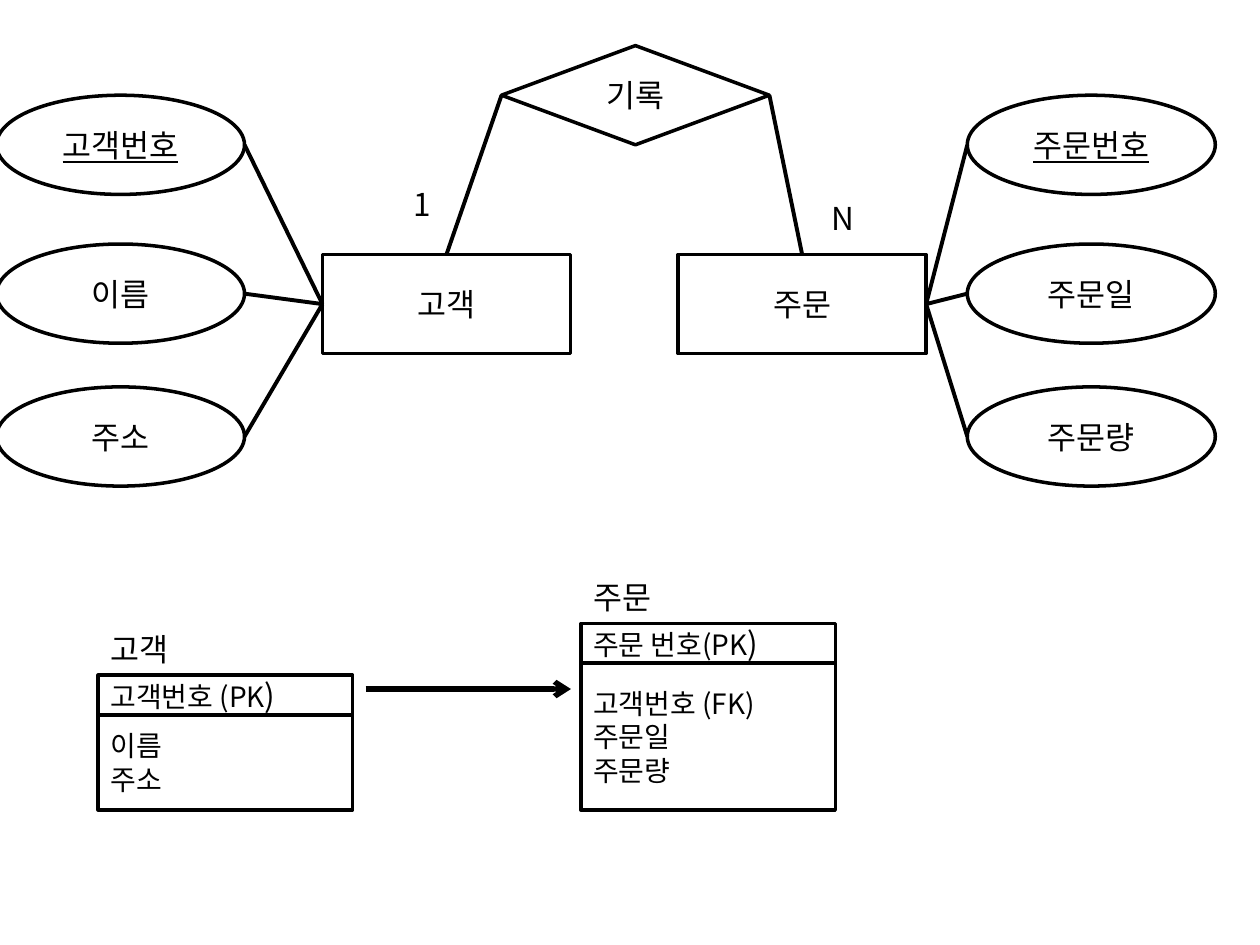
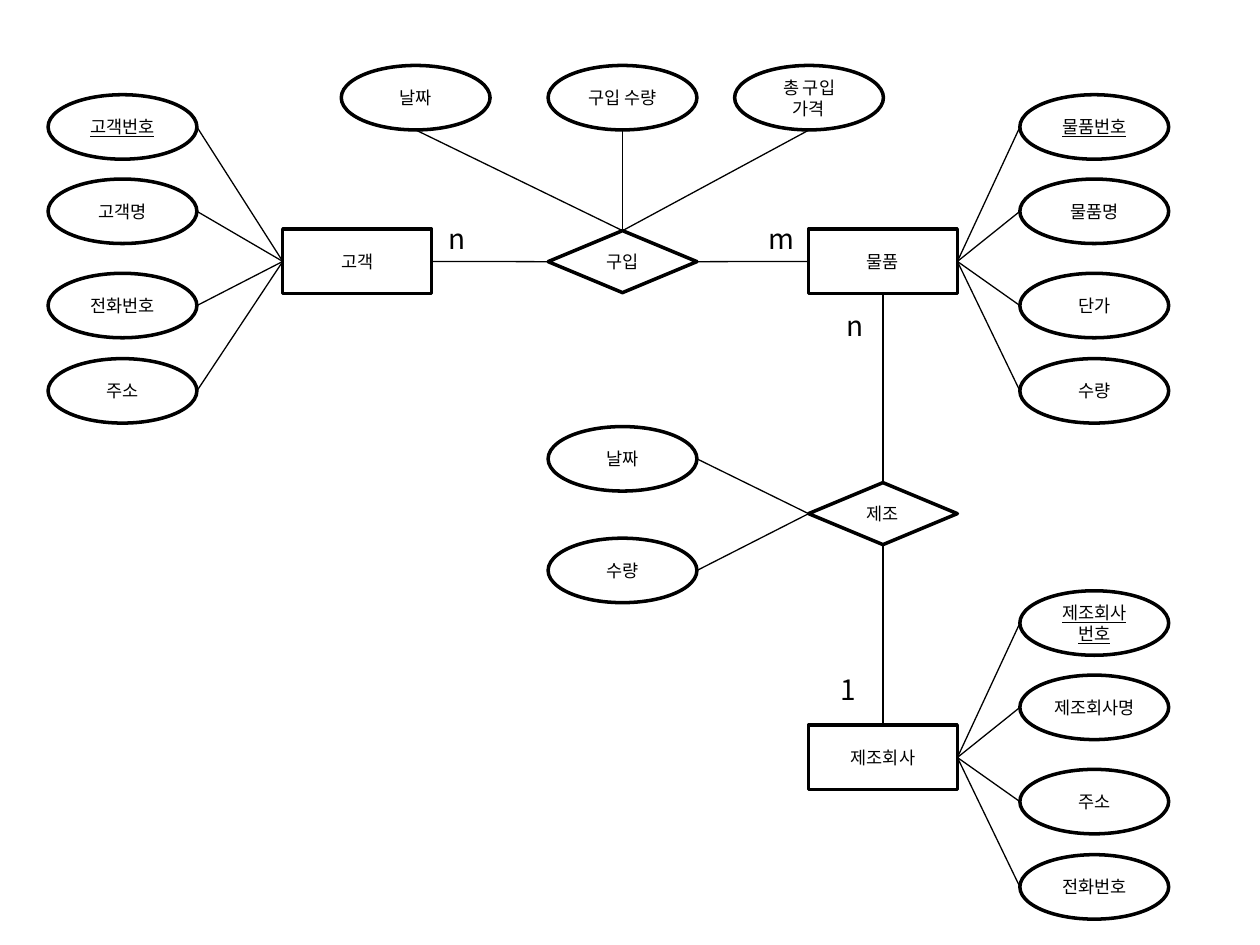
from dataclasses import dataclass
from lxml.etree import SubElement
from pptx import Presentation
from pptx.dml.color import RGBColor
from pptx.enum.shapes import MSO_CONNECTOR, MSO_SHAPE
from pptx.enum.text import MSO_ANCHOR, MSO_AUTO_SIZE, PP_ALIGN
from pptx.oxml.ns import qn
from pptx.util import Cm, Pt


@dataclass(frozen=True)
class Theme:
    font: str = "Noto Sans CJK KR"
    ink: RGBColor = RGBColor(0, 0, 0)
    outline: float = 2
    arrow: float = 3
    node_inset: float = 0.2
    column: float = 16
    heading: float = 18


T = Theme()
ENTITY, RELATION, ATTRIBUTE = MSO_SHAPE.RECTANGLE, MSO_SHAPE.DIAMOND, MSO_SHAPE.OVAL

# ---- Content: lengths in cm; the first attribute of an entity is its key ----
ORDER_ERD = {
    "size": (5.0, 2.0), "relation_size": (5.4, 2.0),
    "text": 18, "label_text": 18, "link": 2.25,
    "attribute_steps": (-3.21, -0.21, 2.67),  # from the entity's top
    "entities": {  # left, top, attribute side, attribute left, attributes
        "고객": (6.5, 5.13, "left", -0.07, ["고객번호", "이름", "주소"]),
        "주문": (13.67, 5.13, "right", 19.5, ["주문번호", "주문일", "주문량"]),
    },
    "relations": {  # left, top, attribute side, attributes (text, left, top)
        "기록": (10.11, 0.92, "top", []),
    },
    "links": [("기록", "left", "고객", "top"), ("기록", "right", "주문", "top")],
    "labels": [("1", 8.08, 3.61, 0.86), ("N", 16.51, 3.89, 0.99)],
}
PURCHASE_ERD = {
    "size": (3.0, 1.3), "relation_size": (3.0, 1.25),
    "text": 10, "label_text": 16, "link": 0.75,
    "attribute_steps": (-2.71, -1.01, 0.89, 2.61),
    "entities": {
        "고객": (5.7, 4.62, "left", 0.97, ["고객번호", "고객명", "전화번호", "주소"]),
        "물품": (16.3, 4.62, "right", 20.56, ["물품번호", "물품명", "단가", "수량"]),
        "제조회사": (16.3, 14.62, "right", 20.56,
                 ["제조회사 번호", "제조회사명", "주소", "전화번호"]),
    },
    "relations": {
        "구입": (11.05, 4.65, "top", [("날짜", 6.88, 1.32), ("구입 수량", 11.05, 1.32),
                                    ("총 구입 가격", 14.81, 1.32)]),
        "제조": (16.3, 9.73, "left", [("날짜", 11.05, 8.6), ("수량", 11.05, 10.85)]),
    },
    "links": [("고객", "right", "구입", "left"), ("구입", "right", "물품", "left"),
              ("물품", "bottom", "제조", "top"), ("제조", "bottom", "제조회사", "top")],
    "labels": [("n", 8.79, 4.34, 0.84), ("m", 15.24, 4.34, 1.02),
               ("1", 16.69, 13.44, 0.84), ("n", 16.82, 6.1, 0.84)],
}
SCHEMAS = [  # name, left, top, key column, other columns
    ("고객", 1.98, 12.57, "고객번호 (PK", ["이름", "주소"]),
    ("주문", 11.71, 11.53, "주문 번호(PK", ["고객번호 (FK)", "주문일", "주문량"]),
]
SCHEMA_W, SCHEMA_BOTTOM, KEY_H = 5.13, 16.33, 0.8
ARROW_FROM, ARROW_TO = (7.37, 13.89), (11.51, 13.89)

# Side of a shape: share of width, share of height, connection site, site on an oval
SIDES = {"top": (0.5, 0, 0, 0), "left": (0, 0.5, 1, 2),
         "bottom": (0.5, 1, 2, 4), "right": (1, 0.5, 3, 6)}
OPPOSITE = {"top": "bottom", "bottom": "top", "left": "right", "right": "left"}


# ---- Text and outlines ----
def add_run(p, text, size, underline=None):
    r = p.add_run()
    r.text = text
    r.font.size = Pt(size)
    r.font.underline = underline
    r.font.color.rgb = T.ink
    r.font.name = T.font
    SubElement(r.font._element, qn("a:ea"), typeface=T.font)  # Korean glyphs


def set_line(item, width):
    item.line.color.rgb = T.ink
    item.line.width = Pt(width)


def add_outline(shapes, kind, left, top, width, height):
    sp = shapes.add_shape(kind, Cm(left), Cm(top), Cm(width), Cm(height))
    sp.shadow.inherit = False
    sp.fill.background()
    set_line(sp, T.outline)
    sp.text_frame.word_wrap = True
    sp.text_frame.vertical_anchor = MSO_ANCHOR.MIDDLE
    return sp


def add_label(shapes, text, left, top, width, size):
    tb = shapes.add_textbox(Cm(left), Cm(top), Cm(width), Cm(1.02 if size > 16 else 0.94))
    tf = tb.text_frame
    tf.word_wrap = False
    tf.auto_size = MSO_AUTO_SIZE.SHAPE_TO_FIT_TEXT
    add_run(tf.paragraphs[0], text, size)


def add_line(shapes, start, end, width):
    cx = shapes.add_connector(MSO_CONNECTOR.STRAIGHT, *start, *end)
    set_line(cx, width)
    SubElement(cx._element.spPr, qn("a:effectLst"))
    return cx


# ---- Entity-relationship diagram ----
def add_node(s, kind, text, left, top, size, text_size, key=None):
    sp = add_outline(s.shapes, kind, left, top, *size)
    tf = sp.text_frame
    tf.margin_left = tf.margin_right = Cm(T.node_inset)
    p = tf.paragraphs[0]
    p.alignment = PP_ALIGN.CENTER
    add_run(p, text, text_size, key)
    return sp


def side_point(sp, side):
    fx, fy = SIDES[side][:2]
    return int(sp.left + sp.width * fx), int(sp.top + sp.height * fy)


def link(s, a, a_side, b, b_side, width):
    cx = add_line(s.shapes, side_point(a, a_side), side_point(b, b_side), width)
    holder = cx._element.find(".//" + qn("p:cNvCxnSpPr"))
    for tag, sp, side in (("a:stCxn", a, a_side), ("a:endCxn", b, b_side)):
        site = SIDES[side][3 if sp.auto_shape_type == ATTRIBUTE else 2]
        SubElement(holder, qn(tag), id=str(sp.shape_id), idx=str(site))


def draw_erd(s, erd):
    nodes = {}

    def add_attribute(owner, side, text, left, top, key=None):
        sp = add_node(s, ATTRIBUTE, text, left, top, erd["size"], erd["text"], key)
        link(s, sp, OPPOSITE[side], nodes[owner], side, erd["link"])

    for name, (left, top, side, attr_left, attrs) in erd["entities"].items():
        nodes[name] = add_node(s, ENTITY, name, left, top, erd["size"], erd["text"])
        for i, (text, step) in enumerate(zip(attrs, erd["attribute_steps"])):
            add_attribute(name, side, text, attr_left, top + step, True if i == 0 else None)
    for name, (left, top, side, attrs) in erd["relations"].items():
        nodes[name] = add_node(s, RELATION, name, left, top,
                               erd["relation_size"], erd["text"])
        for attr in attrs:
            add_attribute(name, side, *attr)
    for a, a_side, b, b_side in erd["links"]:
        link(s, nodes[a], a_side, nodes[b], b_side, erd["link"])
    for label in erd["labels"]:
        add_label(s.shapes, *label, erd["label_text"])


# ---- Relational schema: name, key box, column box ----
def draw_schema(s, name, left, top, key, columns):
    shapes = s.shapes.add_group_shape().shapes
    key_top = top + 1.04
    body_top = key_top + KEY_H
    add_label(shapes, name, left, top, 1.8, T.heading)

    key_box = add_outline(shapes, ENTITY, left, key_top, SCHEMA_W, KEY_H)
    body = add_outline(shapes, ENTITY, left, body_top, SCHEMA_W, SCHEMA_BOTTOM - body_top)
    p = key_box.text_frame.paragraphs[0]
    p.alignment = PP_ALIGN.LEFT
    add_run(p, key, T.column)
    add_run(p, ")", T.heading)

    tf = body.text_frame
    for i, column in enumerate(columns):
        p = tf.add_paragraph() if i else tf.paragraphs[0]
        p.alignment = PP_ALIGN.LEFT
        add_run(p, column, T.column)


# ---- Slides ----
prs = Presentation()
prs.slide_width, prs.slide_height = Cm(25.4), Cm(19.05)
blank = prs.slide_layouts[6]

s = prs.slides.add_slide(blank)
draw_erd(s, ORDER_ERD)
for schema in SCHEMAS:
    draw_schema(s, *schema)
arrow = add_line(s.shapes, map(Cm, ARROW_FROM), map(Cm, ARROW_TO), T.arrow)
SubElement(arrow.line._get_or_add_ln(), qn("a:tailEnd"), type="arrow")

s = prs.slides.add_slide(blank)
draw_erd(s, PURCHASE_ERD)

prs.save("out.pptx")
